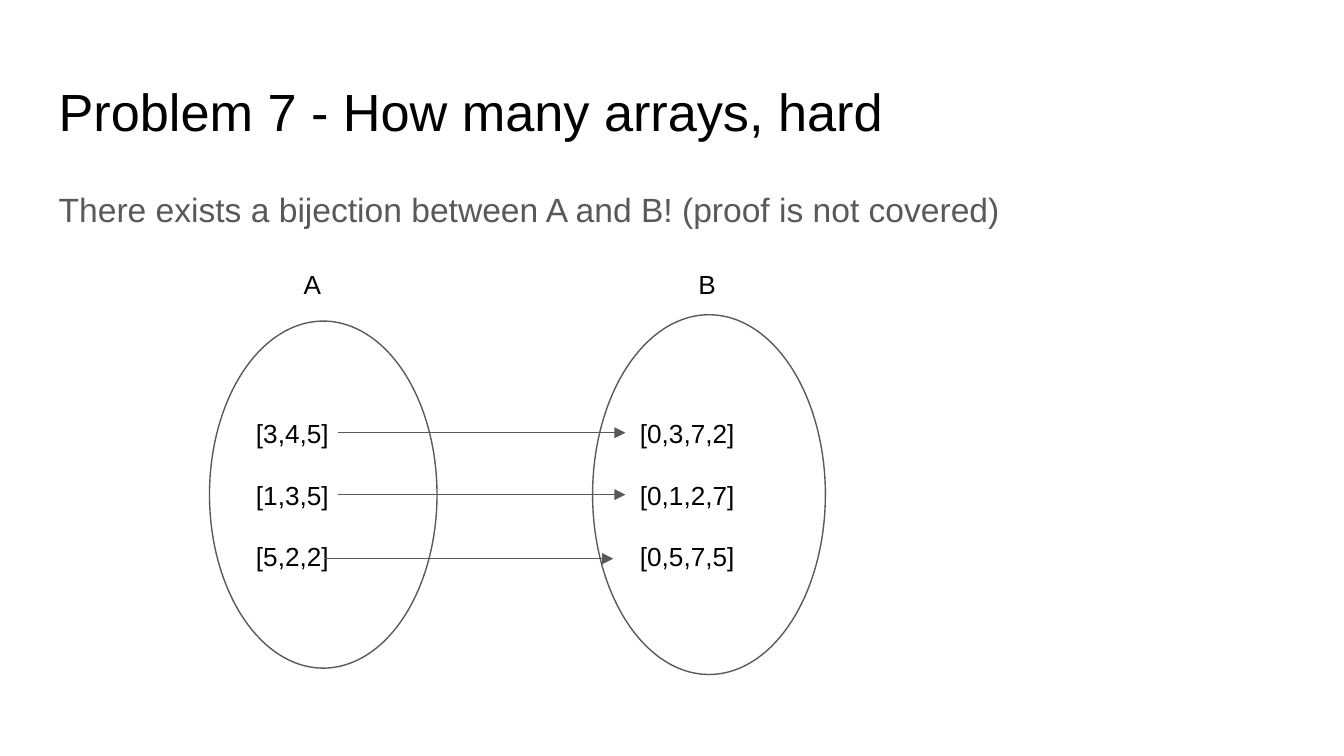
from lxml.etree import SubElement
from pptx import Presentation
from pptx.dml.color import RGBColor
from pptx.enum.shapes import MSO_CONNECTOR, MSO_SHAPE
from pptx.enum.text import MSO_ANCHOR, MSO_AUTO_SIZE, PP_ALIGN
from pptx.oxml.ns import qn
from pptx.util import Cm, Pt

COLORS = {"ink": "000000", "grey": "595959", "paper": "FFFFFF"}
INSET = Cm(0.25)
ARROW_LENGTH = 5.44


def color(key):
    return RGBColor.from_string(COLORS[key])


def write(frame, lines, size=14, ink="ink", anchor=MSO_ANCHOR.TOP, gap=0, spacing=1.0):
    """Fill a text frame with one left-aligned paragraph per line."""
    frame.word_wrap = True
    frame.auto_size = MSO_AUTO_SIZE.NONE
    frame.vertical_anchor = anchor
    frame.margin_left = frame.margin_right = INSET
    frame.margin_top = frame.margin_bottom = INSET
    for index, line in enumerate(lines):
        paragraph = frame.add_paragraph() if index else frame.paragraphs[0]
        paragraph.alignment = PP_ALIGN.LEFT
        paragraph.line_spacing = spacing
        paragraph.space_before = Pt(gap if index else 0)
        run = paragraph.add_run()
        run.text = line
        run.font.name = "Arial"
        run.font.size = Pt(size)
        run.font.color.rgb = color(ink)


def add_title(slide, text):
    title = slide.shapes.title
    title.left, title.top, title.width, title.height = Cm(0.86), Cm(1.24), Cm(23.67), Cm(1.6)
    write(title.text_frame, [text], size=28)


def add_label(slide, text, left, top, width, height, **text_format):
    label = slide.shapes.add_textbox(Cm(left), Cm(top), Cm(width), Cm(height))
    write(label.text_frame, [text], **text_format)


def add_set(slide, members, left, top, width, height):
    """Draw a set as an ellipse that lists its members."""
    ellipse = slide.shapes.add_shape(MSO_SHAPE.OVAL, Cm(left), Cm(top), Cm(width), Cm(height))
    ellipse.shadow.inherit = False
    ellipse.fill.solid()
    ellipse.fill.fore_color.rgb = color("paper")
    ellipse.line.color.rgb = color("grey")
    ellipse.line.width = Pt(0.75)
    write(ellipse.text_frame, members, anchor=MSO_ANCHOR.MIDDLE, gap=16)


def add_arrow(slide, left, top):
    arrow = slide.shapes.add_connector(
        MSO_CONNECTOR.STRAIGHT, Cm(left), Cm(top), Cm(left + ARROW_LENGTH), Cm(top))
    arrow.line.color.rgb = color("grey")
    arrow.line.width = Pt(0.75)
    SubElement(arrow.line._get_or_add_ln(), qn("a:tailEnd"), type="triangle")
    SubElement(arrow._element.spPr, qn("a:effectLst"))


def main():
    presentation = Presentation()
    presentation.slide_width, presentation.slide_height = Cm(25.4), Cm(14.29)
    slide = presentation.slides.add_slide(presentation.slide_layouts[5])

    add_title(slide, "Problem 7 - How many arrays, hard")
    add_label(slide, "There exists a bijection between A and B! (proof is not covered)",
              0.86, 3.2, 23.67, 1.6, size=18, ink="grey", spacing=1.15)
    for set_name, left in (("A", 5.49), ("B", 12.95)):
        add_label(slide, set_name, left, 4.83, 1.24, 1.12)

    add_set(slide, ["[3,4,5]", "[1,3,5]", "[5,2,2]"], 3.96, 6.07, 4.3, 6.56)
    add_set(slide, ["[0,3,7,2]", "[0,1,2,7]", "[0,5,7,5]"], 11.2, 5.95, 4.4, 6.8)
    for left, top in ((6.38, 8.18), (6.38, 9.35), (6.15, 10.56)):
        add_arrow(slide, left, top)

    presentation.save("out.pptx")


if __name__ == "__main__":
    main()
